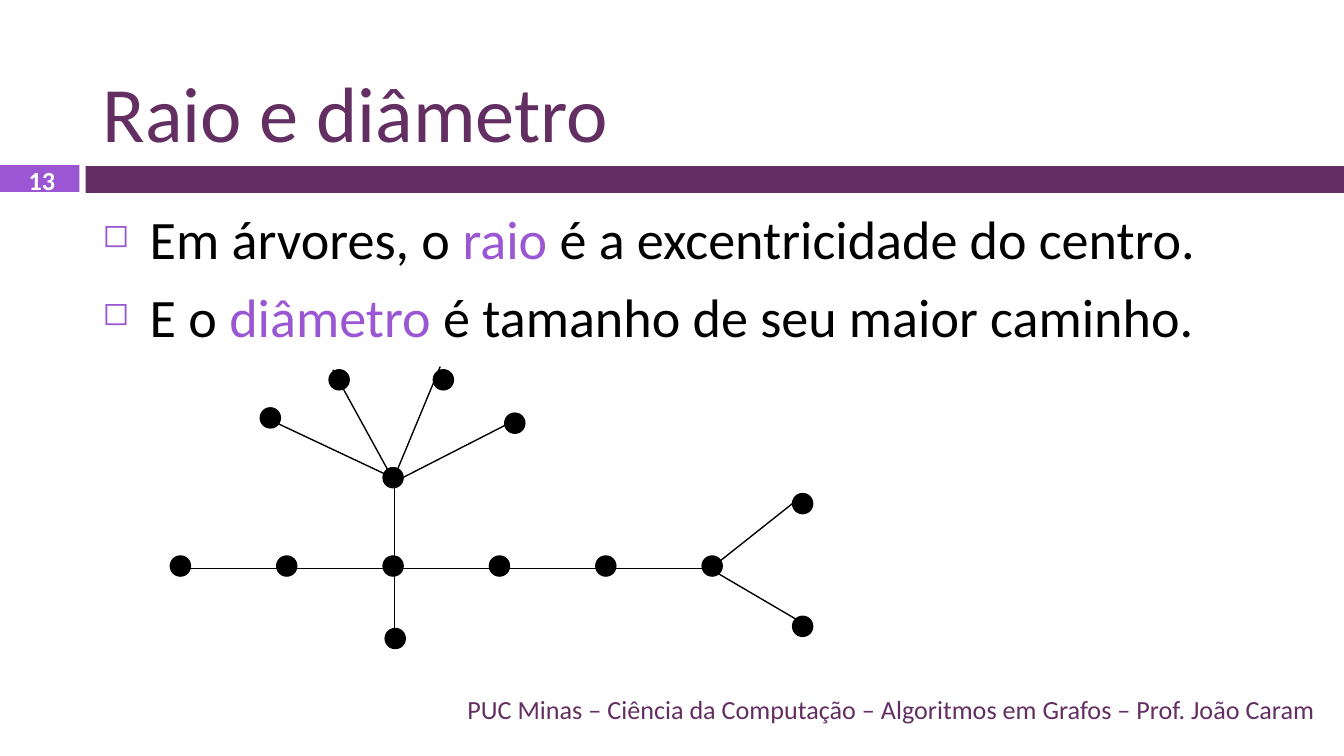
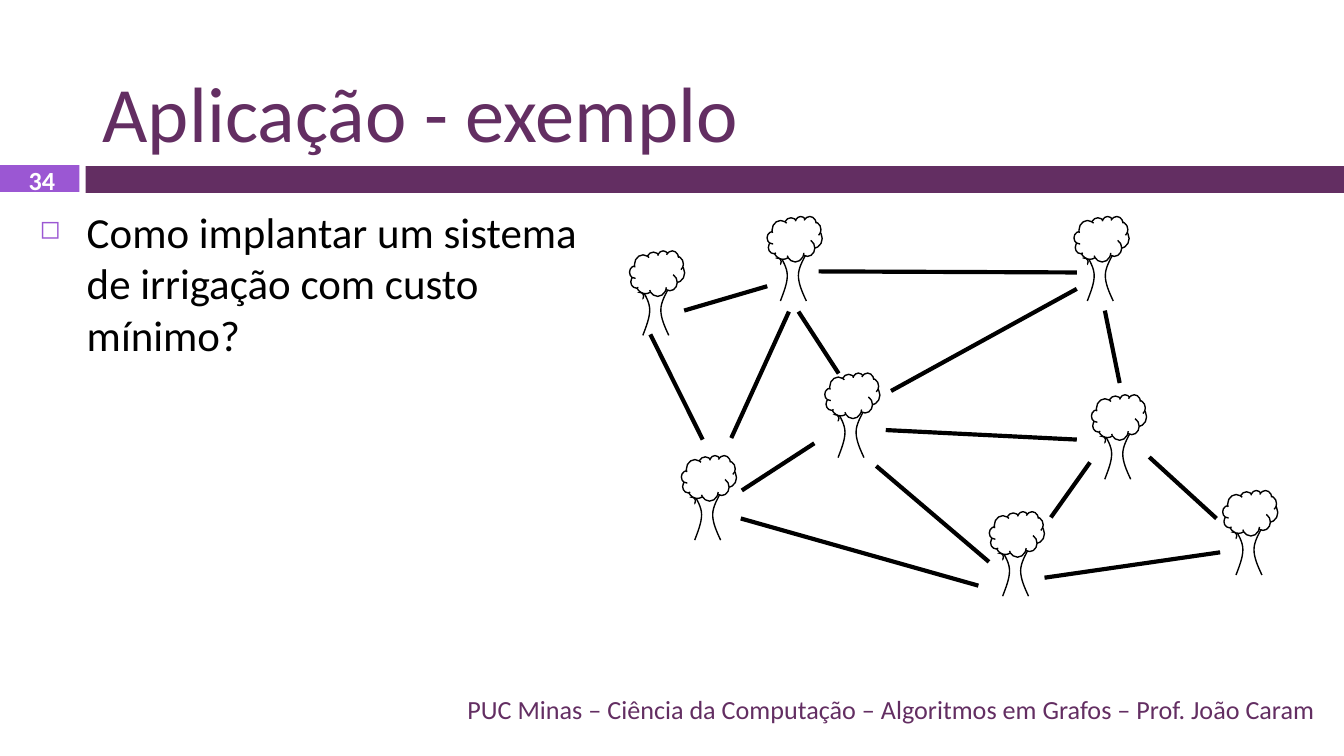
from lxml import etree
from pptx import Presentation
from pptx.dml.color import RGBColor
from pptx.enum.shapes import MSO_CONNECTOR, MSO_SHAPE
from pptx.enum.text import MSO_ANCHOR, PP_ALIGN
from pptx.oxml.ns import qn
from pptx.util import Cm, Pt

OVAL, RECTANGLE, CLOUD = MSO_SHAPE.OVAL, MSO_SHAPE.RECTANGLE, MSO_SHAPE.CLOUD_CALLOUT
STRAIGHT = MSO_CONNECTOR.STRAIGHT
TOP, MIDDLE, BOTTOM = MSO_ANCHOR.TOP, MSO_ANCHOR.MIDDLE, MSO_ANCHOR.BOTTOM
LEFT, CENTER, RIGHT = PP_ALIGN.LEFT, PP_ALIGN.CENTER, PP_ALIGN.RIGHT

FONT = "Calibri"
COLORS = {"plum": "632E62", "violet": "9B57D3", "black": "000000", "white": "FFFFFF"}
FOOTER = "PUC Minas – Ciência da Computação – Algoritmos em Grafos – Prof. João Caram"

# Boxes are left, top, width, height in centimetres.
BAND_BOX = (1.62, 3.14, 23.78, 0.51)
NUMBER_BAND_BOX = (0, 3.12, 1.5, 0.51)
NUMBER_BOX = (0.06, 3.15, 1.47, 0.5)
TITLE_BOX = (1.69, 0.33, 23.42, 2.79)
FOOTER_BOX = (1.69, 13.03, 23.42, 0.76)
WIDE_BODY_BOX = (1.69, 3.76, 23.42, 9.09)
LEFT_BODY_BOX = (0.5, 3.76, 11.2, 9.09)
TREE_GRAPH_BOX = (3.19, 6.9, 12.2, 5.4)
ORCHARD_BOX = (11.9, 4.09, 12.25, 7.2)

VERTEX_SIZE = 0.38
PATH_VERTICES = [(0.03 + 2.01 * step, 3.61) for step in range(6)]
BRANCH_VERTICES = [
    (4.05, 1.94), (1.73, 0.81), (3.03, 0.09), (5, 0.09), (6.35, 0.91),
    (4.09, 4.98), (11.79, 2.43), (11.79, 4.75),
]
GRAPH_EDGES = [
    (0.25, 3.84, 10.34, 3.84), (4.27, 3.95, 4.27, 2.04), (4.32, 2.17, 1.73, 0.95),
    (4.27, 2.22, 3.1, 0.09), (4.22, 2.22, 5.13, 0.03), (4.34, 2.17, 6.53, 1.05),
    (10.31, 3.79, 11.91, 2.52), (10.21, 3.84, 12.12, 4.96), (4.27, 5.34, 4.27, 3.79),
]

ORCHARD_TREES = [
    (0, 0.65), (0.98, 4.52), (2.6, 0), (3.69, 2.96),
    (8.4, 0), (6.8, 5.58), (8.73, 3.37), (11.21, 5.18),
]
ORCHARD_PIPES = [
    (0.39, 2.23, 1.38, 4.22), (1.03, 1.78, 2.6, 1.32), (3.57, 1.04, 8.45, 1.06),
    (8.98, 1.78, 9.26, 3.15), (7.84, 6.83, 11.16, 6.35), (9.82, 4.55, 11.09, 5.71),
    (7.96, 5.69, 8.7, 4.65), (4.84, 4.04, 8.45, 4.22), (4.66, 4.72, 6.79, 6.53),
    (2.1, 5.71, 6.59, 6.98), (2.12, 5.18, 3.49, 4.29), (1.92, 4.19, 3.01, 1.8),
    (4.94, 3.3, 8.45, 1.37), (3.19, 1.8, 3.95, 2.97),
]
# Each trunk side is two cubic curves that share the middle point.
TRUNK_SIDES = [
    [(0.2, 0.68), (0.3, 0.84), (0.38, 0.98), (0.38, 1.12),
     (0.38, 1.27), (0.31, 1.44), (0.25, 1.6)],
    [(0.76, 0.67), (0.68, 0.82), (0.59, 0.97), (0.59, 1.12),
     (0.59, 1.27), (0.66, 1.43), (0.74, 1.6)],
]


def color(name):
    return RGBColor.from_string(COLORS[name])


def set_line(shape, width):
    shape.line.color.rgb = color("black")
    shape.line.width = Pt(width)


def add_filled(page, kind, box, fill, line_width=None):
    shape = page.shapes.add_shape(kind, *map(Cm, box))
    shape.shadow.inherit = False
    shape.fill.solid()
    shape.fill.fore_color.rgb = color(fill)
    if line_width:
        set_line(shape, line_width)
    else:
        shape.line.fill.background()
    return shape


def add_edges(page, box, edges, width):
    left, top = box[:2]
    for x1, y1, x2, y2 in edges:
        edge = page.shapes.add_connector(
            STRAIGHT, Cm(left + x1), Cm(top + y1), Cm(left + x2), Cm(top + y2))
        set_line(edge, width)
        etree.SubElement(edge._element.spPr, qn("a:effectLst"))


def add_bullet(para):
    properties = para._p.get_or_add_pPr()
    properties.set("marL", str(Cm(0.89)))
    properties.set("indent", str(Cm(-0.89)))
    bullet_color = etree.SubElement(properties, qn("a:buClr"))
    etree.SubElement(bullet_color, qn("a:srgbClr"), val=COLORS["violet"])
    etree.SubElement(properties, qn("a:buSzPct"), val="60000")
    etree.SubElement(properties, qn("a:buChar"), char="◻")


def add_text(page, box, paragraphs, size, ink, anchor=TOP, align=LEFT,
             bold=False, bullets=False):
    """Write paragraphs, each a list of (text, color name or None for ink)."""
    frame = page.shapes.add_textbox(*map(Cm, box)).text_frame
    frame.word_wrap = True
    frame.vertical_anchor = anchor
    for index, spans in enumerate(paragraphs):
        para = frame.add_paragraph() if index else frame.paragraphs[0]
        if bullets:
            add_bullet(para)
        if index:
            para.space_before = Pt(7)
        para.alignment = align
        para.font.name = FONT
        para.font.size = Pt(size)
        para.font.bold = bold
        para.font.color.rgb = color(ink)
        for text, accent in spans:
            span = para.add_run()
            span.text = text
            if accent:
                span.font.color.rgb = color(accent)


def add_page(deck, title, number):
    """Add a page with the shared bands, title, page number and footer."""
    page = deck.slides.add_slide(deck.slide_layouts[6])
    add_filled(page, RECTANGLE, BAND_BOX, "plum")
    add_filled(page, RECTANGLE, NUMBER_BAND_BOX, "violet")
    add_text(page, TITLE_BOX, [[(title, None)]], 42, "plum", BOTTOM)
    add_text(page, NUMBER_BOX, [[(str(number), None)]], 14, "white", MIDDLE, CENTER, bold=True)
    add_text(page, FOOTER_BOX, [[(FOOTER, None)]], 14, "plum", MIDDLE, RIGHT)
    return page


def add_tree_graph(page, box):
    left, top = box[:2]
    for x, y in PATH_VERTICES + BRANCH_VERTICES:
        add_filled(page, OVAL, (left + x, top + y, VERTEX_SIZE, VERTEX_SIZE), "black", 0.75)
    add_edges(page, box, GRAPH_EDGES, 0.75)


def bend_segments(shape):
    """Turn each three straight segments of a freeform into one cubic curve."""
    segments = list(shape._element.iter(qn("a:lnTo")))
    for start in range(0, len(segments), 3):
        curve = etree.Element(qn("a:cubicBezTo"))
        segments[start].addprevious(curve)
        for segment in segments[start:start + 3]:
            curve.append(segment[0])
            segment.getparent().remove(segment)


def add_fruit_tree(page, left, top):
    for side in TRUNK_SIDES:
        points = [(Cm(left + x), Cm(top + y)) for x, y in side]
        builder = page.shapes.build_freeform(*points[0])
        builder.add_line_segments(points[1:], close=False)
        trunk = builder.convert_to_shape()
        bend_segments(trunk)
        trunk.shadow.inherit = False
        trunk.fill.background()
        set_line(trunk, 0.75)
    crown = add_filled(page, CLOUD, (left, top, 1.04, 0.86), "white", 0.75)
    crown.adjustments[0] = -0.438
    crown.adjustments[1] = 0.7
    add_filled(page, OVAL, (left - 0.02, top + 0.78, 0.27, 0.34), "white")


def add_orchard(page, box):
    left, top = box[:2]
    for x, y in ORCHARD_TREES:
        add_fruit_tree(page, left + x, top + y)
    add_edges(page, box, ORCHARD_PIPES, 2.25)


def add_radius_page(deck):
    page = add_page(deck, "Raio e diâmetro", 13)
    add_text(page, WIDE_BODY_BOX, [
        [("Em árvores, o ", None), ("raio", "violet"), (" é a excentricidade do centro.", None)],
        [("E o ", None), ("diâmetro", "violet"), (" é tamanho de seu maior caminho.", None)],
    ], 29, "black", bullets=True)
    add_tree_graph(page, TREE_GRAPH_BOX)


def add_irrigation_page(deck):
    page = add_page(deck, "Aplicação - exemplo", 34)
    question = "Como implantar um sistema de irrigação com custo mínimo?"
    add_text(page, LEFT_BODY_BOX, [[(question, None)]], 23, "black", bullets=True)
    add_orchard(page, ORCHARD_BOX)


def main():
    deck = Presentation()
    deck.slide_width, deck.slide_height = Cm(25.4), Cm(14.29)
    add_radius_page(deck)
    add_irrigation_page(deck)
    deck.save("out.pptx")


if __name__ == "__main__":
    main()
